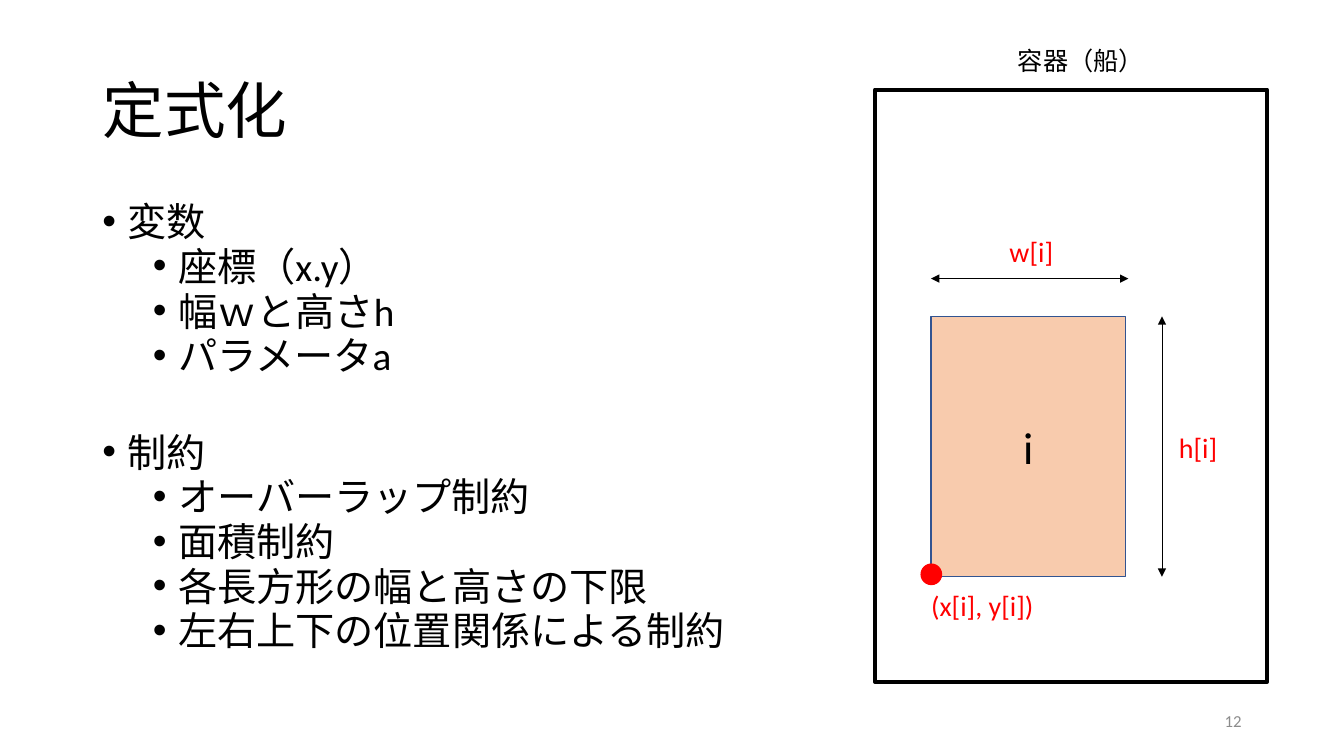
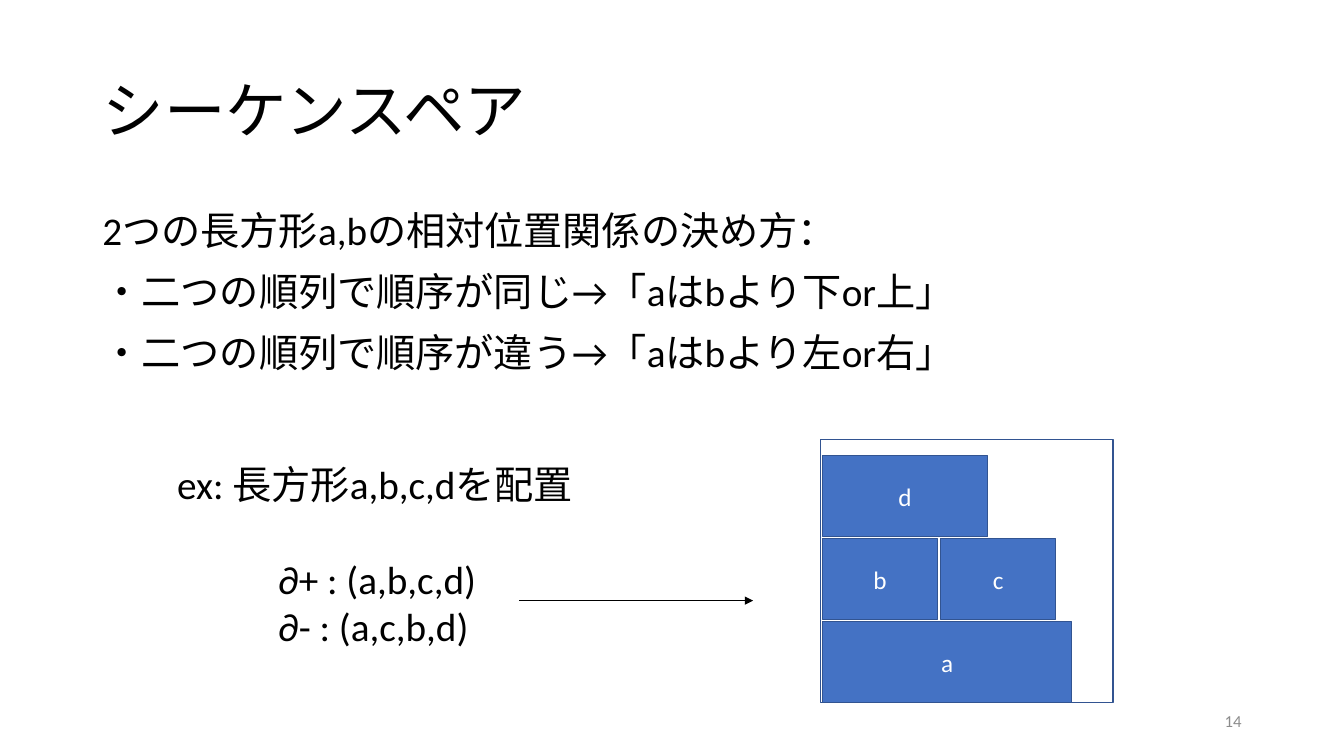
"""Build two slides on rectangle packing: the formulation and the sequence pair."""
import pptx
import pptx.util
import pptx.dml.color
import pptx.enum.shapes
import pptx.enum.text
import pptx.oxml.ns
from lxml import etree

Pt = pptx.util.Pt
RGB = pptx.dml.color.RGBColor
MSO = pptx.enum.shapes.MSO_SHAPE
ALIGN = pptx.enum.text.PP_ALIGN
MID = pptx.enum.text.MSO_ANCHOR.MIDDLE
qn = pptx.oxml.ns.qn

BLACK = RGB(0x00, 0x00, 0x00)
WHITE = RGB(0xFF, 0xFF, 0xFF)
RED = RGB(0xFF, 0x00, 0x00)
GRAY = RGB(0x8C, 0x8C, 0x8C)
PEACH = RGB(0xF8, 0xCB, 0xAD)
BLUE = RGB(0x44, 0x72, 0xC4)
NAVY = RGB(0x32, 0x54, 0x91)
FONT = "Calibri"


def style(frame, size, color=BLACK, align=ALIGN.LEFT):
    frame.auto_size = pptx.enum.text.MSO_AUTO_SIZE.NONE
    for para in frame.paragraphs:
        para.alignment = align
        for run in para.runs:
            run.font.size = Pt(size)
            run.font.color.rgb = color
            run.font.name = FONT
            east = etree.SubElement(run.font._element, qn("a:ea"))
            east.set("typeface", FONT)


def block(slide, kind, spot, fill, line, width=1, text="", size=18, color=WHITE):
    shape = slide.shapes.add_shape(kind, *map(Pt, spot))
    shape.shadow.inherit = False
    if fill is None:
        shape.fill.background()
    else:
        shape.fill.solid()
        shape.fill.fore_color.rgb = fill
    shape.line.color.rgb = line
    shape.line.width = Pt(width)
    if text:
        shape.text_frame.text = text
        shape.text_frame.vertical_anchor = MID
        style(shape.text_frame, size, color, ALIGN.CENTER)


prs = pptx.Presentation()
prs.slide_width, prs.slide_height = Pt(960), Pt(540)

pages = [
    ("定式化", "12", 553, 0.8, [
        (0, 10, "変数"),
        (1, 5, "座標（x.y）"),
        (1, 5, "幅ｗと高さh"),
        (1, 5, "パラメータa"),
        (0, 42, "制約"),
        (1, 5, "オーバーラップ制約"),
        (1, 5, "面積制約"),
        (1, 5, "各長方形の幅と高さの下限"),
        (1, 5, "左右上下の位置関係による制約"),
    ]),
    ("シーケンスペア", "14", 828, 1.0, [
        (None, 10, "2つの長方形a,bの相対位置関係の決め方："),
        (None, 10, "・二つの順列で順序が同じ→「aはbより下or上」"),
        (None, 10, "・二つの順列で順序が違う→「aはbより左or右」"),
    ]),
]

slides = []
for title, number, width, pitch, items in pages:
    slide = prs.slides.add_slide(prs.slide_layouts[1])
    slides.append(slide)

    head = slide.shapes.title
    head.left, head.top, head.width, head.height = map(Pt, (66, 29, 828, 104))
    head.text_frame.text = title
    head.text_frame.vertical_anchor = MID
    head.text_frame.paragraphs[0].line_spacing = 0.9
    style(head.text_frame, 44)

    body = slide.placeholders[1]
    body.left, body.top, body.width, body.height = map(Pt, (66, 144, width, 343))
    body.text_frame.text = "\n".join(item[2] for item in items)
    for para, (level, gap, _) in zip(body.text_frame.paragraphs, items):
        para.line_spacing = pitch
        para.space_before = Pt(gap)
        props = para._p.get_or_add_pPr()
        if level is None:
            props.set("marL", "0")
            props.set("indent", "0")
            etree.SubElement(props, qn("a:buNone"))
        else:
            para.level = level
            props.set("marL", str(Pt(18 + 36 * level)))
            props.set("indent", str(Pt(-18)))
            etree.SubElement(props, qn("a:buChar")).set("char", "•")
    style(body.text_frame, 28)

    foot = slide.shapes.add_textbox(*map(Pt, (678, 500.5, 216, 29)))
    foot.text_frame.text = number
    foot.text_frame.vertical_anchor = MID
    style(foot.text_frame, 12, GRAY, ALIGN.RIGHT)

model, pair = slides

block(model, MSO.RECTANGLE, (625, 64, 280, 423), None, BLACK, 3)
block(model, MSO.RECTANGLE, (665, 226, 139, 186), PEACH, NAVY, 1, "i", 32, BLACK)
block(model, MSO.OVAL, (658, 403, 14.5, 14.5), RED, RED)

labels = [
    ("w[i]", 714, 164, 46, 32, 20, RED),
    ("h[i]", 835, 304, 43, 32, 20, RED),
    ("(x[i], y[i])", 658, 417, 89, 32, 20, RED),
    ("容器（船）", 720, 29, 105, 29, 18, BLACK),
]
for text, left, top, width, height, size, color in labels:
    label = model.shapes.add_textbox(Pt(left), Pt(top), Pt(width), Pt(height))
    label.text_frame.word_wrap = False
    label.text_frame.text = text
    style(label.text_frame, size, color)

note = pair.shapes.add_textbox(Pt(119.5), Pt(325.5), Pt(404), Pt(143))
note.text_frame.word_wrap = True
note.text_frame.text = "ex: 長方形a,b,c,dを配置\n∂+ : (a,b,c,d)\n∂- : (a,c,b,d)"
rows = note.text_frame.paragraphs
rows[1].space_before = Pt(34)
for row in rows[1:]:
    row._p.get_or_add_pPr().set("marL", str(Pt(72)))
style(note.text_frame, 28)

block(pair, MSO.RECTANGLE, (586, 314, 209, 188), None, NAVY)
tiles = [("a", 0, 0, 178), ("b", 0, 1, 82), ("c", 84.5, 1, 82), ("d", 0, 2, 118)]
for text, shift, floor, width in tiles:
    spot = (587.5 + shift, 444 - 59.3 * floor, width, 58)
    block(pair, MSO.RECTANGLE, spot, BLUE, NAVY, 1, text)

arrows = [
    (model, (830, 226, 830, 412), ("headEnd", "tailEnd")),
    (model, (665, 199, 806, 199), ("headEnd", "tailEnd")),
    (pair, (371, 429, 538, 429), ("tailEnd",)),
]
for slide, ends, tips in arrows:
    arrow = slide.shapes.add_connector(
        pptx.enum.shapes.MSO_CONNECTOR.STRAIGHT, *map(Pt, ends))
    arrow.line.color.rgb = BLACK
    arrow.line.width = Pt(0.5)
    for tip in tips:
        etree.SubElement(arrow.line._get_or_add_ln(), qn("a:" + tip)).set("type", "triangle")
    etree.SubElement(arrow._element.spPr, qn("a:effectLst"))

prs.save("out.pptx")
